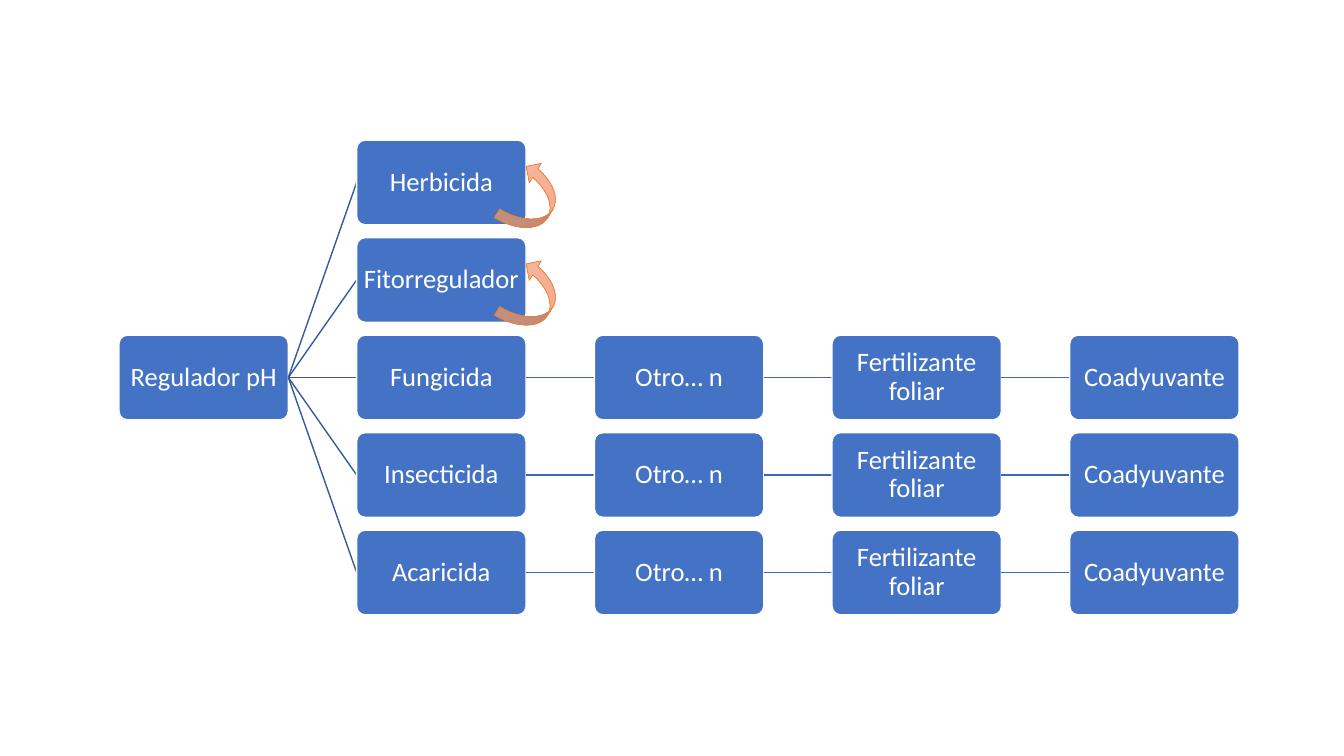
import copy
import pptx
import pptx.dml.color
import pptx.enum.shapes
import pptx.enum.text
import pptx.oxml
import pptx.oxml.ns
import pptx.util

Inches = pptx.util.Inches
Pt = pptx.util.Pt
RGBColor = pptx.dml.color.RGBColor
SHAPE = pptx.enum.shapes.MSO_SHAPE
qn = pptx.oxml.ns.qn

BLUE = RGBColor(0x44, 0x72, 0xC4)
WHITE = RGBColor(0xFF, 0xFF, 0xFF)
NAVY = RGBColor(0x36, 0x5B, 0x9D)
STEEL = RGBColor(0x3E, 0x67, 0xB2)
ORANGE = RGBColor(0xED, 0x7D, 0x31)
PEACH = [(0, RGBColor(0xF7, 0xBD, 0xA5)),
         (0.5, RGBColor(0xF5, 0xB1, 0x96)),
         (1, RGBColor(0xF8, 0xA5, 0x82))]

WIDE, HIGH = 1.68, 0.84
ROOT = "Regulador pH"
TYPES = ["Herbicida", "Fitorregulador", "Fungicida", "Insecticida", "Acaricida"]
STEPS = ["Otro… n", "Fertilizante foliar", "Coadyuvante"]
LOOPS, MID = 2, 2

FRAME = {"word_wrap": True,
         "vertical_anchor": pptx.enum.text.MSO_ANCHOR.MIDDLE,
         "margin_left": Inches(0.04), "margin_right": Inches(0.04),
         "margin_top": Inches(0.04), "margin_bottom": Inches(0.04)}
PARA = {"alignment": pptx.enum.text.PP_ALIGN.CENTER, "line_spacing": 0.9}
FONT = {"name": "Calibri", "size": Pt(19)}


def style(item, values):
    """Set each named format value on an item."""
    for name, value in values.items():
        setattr(item, name, value)


def edge(line, color, width):
    """Colour a line and set its width in points."""
    line.color.rgb = color
    line.width = Pt(width)


def node(slide, left, top, text):
    """Draw one rounded box with its label."""
    box = slide.shapes.add_shape(SHAPE.ROUNDED_RECTANGLE, Inches(left),
                                 Inches(top), Inches(WIDE), Inches(HIGH))
    box.adjustments[0] = 0.1
    box.shadow.inherit = False
    box.fill.solid()
    box.fill.fore_color.rgb = BLUE
    edge(box.line, WHITE, 1)
    frame = box.text_frame
    para = frame.paragraphs[0]
    run = para.add_run()
    run.text = text
    style(frame, FRAME)
    style(para, PARA)
    style(run.font, FONT)
    run.font.color.rgb = WHITE


def link(slide, start, end, color):
    """Join the right side of one box to the left side of the next."""
    line = slide.shapes.add_connector(
        pptx.enum.shapes.MSO_CONNECTOR.STRAIGHT,
        Inches(start[0] + WIDE), Inches(start[1] + HIGH / 2),
        Inches(end[0]), Inches(end[1] + HIGH / 2))
    edge(line.line, color, 1)
    props = line.element.spPr
    props.append(props.makeelement(qn("a:effectLst"), {}))


def loop(slide, left, top):
    """Draw the curved arrow at the right of the box at this place."""
    arrow = slide.shapes.add_shape(SHAPE.CURVED_UP_ARROW, Inches(left + 1.39),
                                   Inches(top + 0.36), Inches(0.71), Inches(0.45))
    arrow.rotation = 301.7
    arrow.shadow.inherit = False
    for index, value in enumerate([0.22, 0.5, 0.25]):
        arrow.adjustments[index] = value
    arrow.fill.gradient()
    arrow.fill.gradient_angle = 270
    first = next(arrow.element.iter(qn("a:gs")))
    first.addnext(copy.deepcopy(first))
    for stop, (place, color) in zip(arrow.fill.gradient_stops, PEACH):
        stop.position = place
        stop.color.rgb = color
    edge(arrow.line, ORANGE, 0.5)


def tree(slide, left, top, width, height):
    """Draw the whole mixing tree inside the given box."""
    across = (width - WIDE) / (len(STEPS) + 1)
    down = (height - HIGH) / (len(TYPES) - 1)

    def spot(col, row):
        """Give the corner of a grid cell."""
        return left + col * across, top + row * down

    root = spot(0, MID)
    node(slide, *root, ROOT)
    for row, kind in enumerate(TYPES):
        link(slide, root, spot(1, row), NAVY)
        node(slide, *spot(1, row), kind)
        if row < LOOPS:
            continue
        for col, step in enumerate(STEPS, 2):
            link(slide, spot(col - 1, row), spot(col, row), STEEL)
            node(slide, *spot(col, row), step)
    for row in range(LOOPS):
        loop(slide, *spot(1, row))


deck = pptx.Presentation()
style(deck, {"slide_width": Inches(13.33), "slide_height": Inches(7.5)})
page = deck.slides.add_slide(deck.slide_layouts[6])
tree(page, 1.18, 1.39, 11.11, 4.71)
deck.save("out.pptx")
